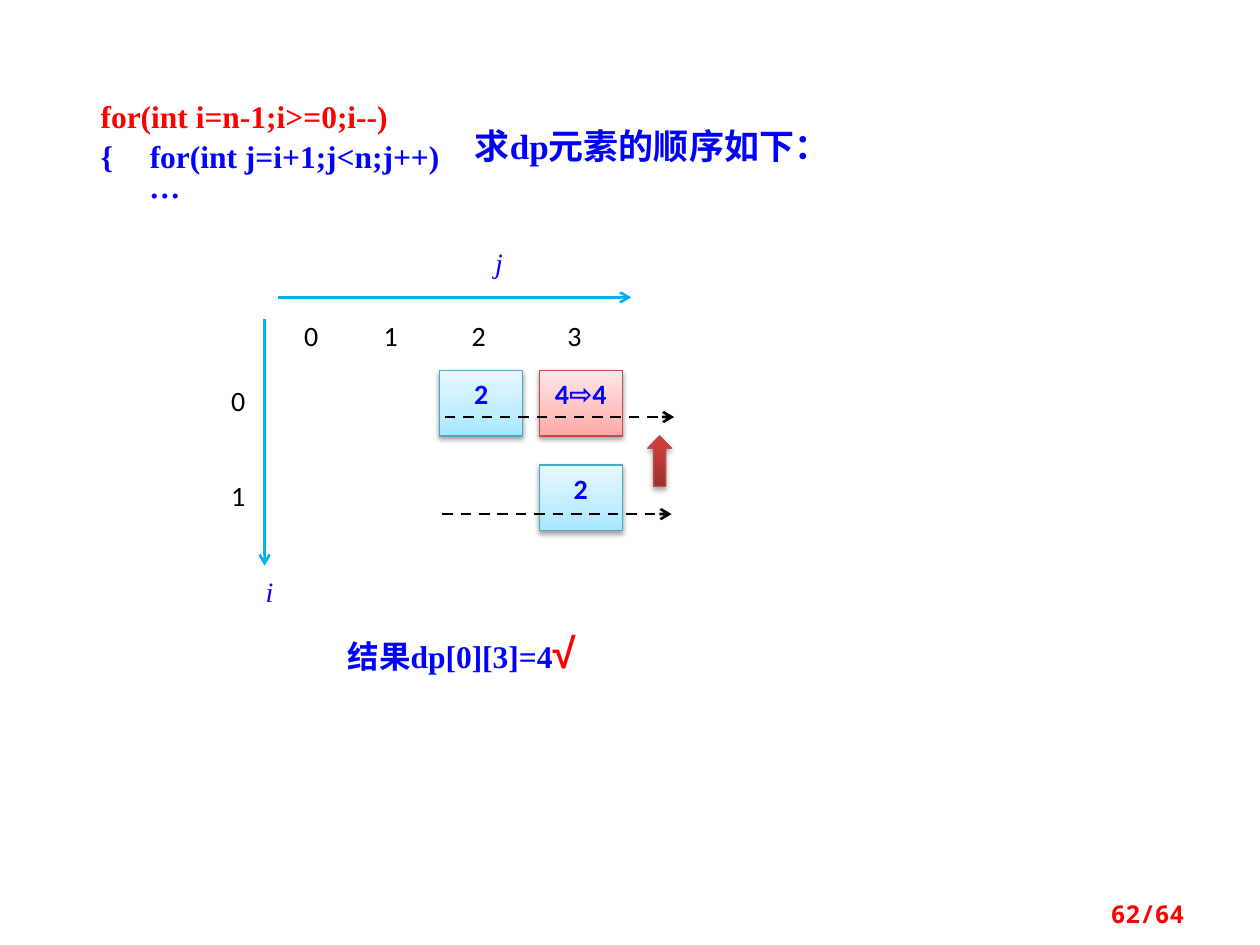
from lxml import etree
from pptx import Presentation, util as u
from pptx.dml.color import RGBColor
from pptx.enum import dml, shapes, text
from pptx.oxml.ns import qn

COLUMNS, ROWS = 100, 75
WIDTH, HEIGHT = u.Inches(10), u.Inches(7.5)
SERIF, SANS, CJK = "Times New Roman", "Calibri", "Noto Sans CJK SC"
BLUE, RED, BLACK, WHITE, SKY = "0000FF", "FF0000", "000000", "FFFFFF", "00B0F0"
BLUE_CELL = [(0, "A7E6FF"), (35, "C1EDFF"), (100, "E7F8FF")]
RED_CELL = [(0, "FFA6A5"), (35, "FFC0BF"), (100, "FFE7E7")]
RED_ARROW = [(0, "9C2F2D"), (80, "CB3E3A"), (100, "CE3B37")]
CELL_SIZE = 6.6, 5.2
LABEL_SIZE = 3.4, 2.9


def color(value):
    return RGBColor.from_string(value)


def grid(*lengths):
    """Turn alternating column and row counts into slide lengths."""
    units = WIDTH / COLUMNS, HEIGHT / ROWS
    return [u.Emu(round(n * units[i % 2])) for i, n in enumerate(lengths)]


def add_element(parent, tag, **attributes):
    return etree.SubElement(parent, qn(tag), {k: str(v) for k, v in attributes.items()})


def set_attributes(target, values):
    for name, value in values.items():
        setattr(target, name, value)


def add_run(paragraph, words, size, font, hue, bold=False, italic=False):
    run = paragraph.add_run()
    run.text = words
    set_attributes(run.font, dict(size=u.Pt(size), name=font, bold=bold, italic=italic))
    run.font.color.rgb = color(hue)
    add_element(run.font._element, "a:ea", typeface=CJK)


def set_frame(shape, margins, anchor=text.MSO_ANCHOR.TOP):
    frame = shape.text_frame
    sides = ("margin_left", "margin_top", "margin_right", "margin_bottom")
    values = dict(zip(sides, map(u.Inches, margins)))
    set_attributes(frame, dict(values, word_wrap=True, vertical_anchor=anchor))
    return frame


def add_label(slide, words, column, row, font=SANS, hue=BLACK, italic=False):
    shape = slide.shapes.add_shape(
        shapes.MSO_SHAPE.RECTANGLE, *grid(column, row, *LABEL_SIZE))
    shape.shadow.inherit = False
    shape.fill.solid()
    shape.fill.fore_color.rgb = color(WHITE)
    shape.line.fill.background()
    paragraph = set_frame(shape, (0, 0, 0, 0)).paragraphs[0]
    paragraph.alignment = text.PP_ALIGN.CENTER
    add_run(paragraph, words, 16, font, hue, italic=italic)


def add_glossy(slide, kind, place, stops, outline, opacity=38):
    """Add a shape with an upward gradient and a soft shadow below."""
    shape = slide.shapes.add_shape(kind, *grid(*place))
    shape.fill.gradient()
    shape.fill.gradient_angle = 90
    stop_list = shape._element.spPr.find(".//" + qn("a:gsLst"))
    for stop in list(stop_list):
        stop_list.remove(stop)
    for position, hue in stops:
        stop = add_element(stop_list, "a:gs", pos=position * 1000)
        add_element(stop, "a:srgbClr", val=hue)
    shape.line.color.rgb = color(outline)
    shape.line.width = u.Pt(0.75)
    shape.shadow.inherit = False
    effects = shape._element.spPr.find(qn("a:effectLst"))
    shadow = add_element(effects, "a:outerShdw", blurRad=u.Pt(3.1), dist=u.Pt(1.7),
                         dir=5400000, rotWithShape=0)
    add_element(add_element(shadow, "a:srgbClr", val=BLACK), "a:alpha", val=opacity * 1000)
    return shape


def add_cell(slide, words, i, j, stops=BLUE_CELL, outline="46AAC5", side=0.1):
    """Add the table entry dp[i][j]."""
    place = (34.9 + 7.9 * (j - 2), 29.4 + 7.5 * i, *CELL_SIZE)
    shape = add_glossy(slide, shapes.MSO_SHAPE.RECTANGLE, place, stops, outline)
    paragraph = set_frame(shape, (side, 0.05, side, 0.05)).paragraphs[0]
    paragraph.alignment = text.PP_ALIGN.CENTER
    add_run(paragraph, words, 16, SANS, BLUE, bold=True)


def add_arrow(slide, start, end, hue, dashed=False):
    line = slide.shapes.add_connector(shapes.MSO_CONNECTOR.STRAIGHT, *grid(*start, *end))
    line.line.color.rgb = color(hue)
    line.line.width = u.Pt(1.5)
    if dashed:
        line.line.dash_style = dml.MSO_LINE.DASH
    add_element(line.line._get_or_add_ln(), "a:tailEnd", type="arrow")
    add_element(line._element.spPr, "a:effectLst")


def add_text(slide, place, paragraphs, spacing=None, tab=None,
             alignment=text.PP_ALIGN.LEFT, anchor=text.MSO_ANCHOR.TOP):
    """Add a text box; each paragraph is a list of runs."""
    box = slide.shapes.add_textbox(*grid(*place))
    frame = set_frame(box, (0.1, 0.05, 0.1, 0.05), anchor)
    for index, runs in enumerate(paragraphs):
        paragraph = frame.add_paragraph() if index else frame.paragraphs[0]
        set_attributes(paragraph, dict(alignment=alignment, line_spacing=spacing))
        if tab:
            tabs = add_element(paragraph._p.get_or_add_pPr(), "a:tabLst")
            add_element(tabs, "a:tab", pos=u.Inches(tab), algn="l")
        for run in runs:
            add_run(paragraph, *run)


def add_axes(slide):
    for number, column in enumerate((23, 29.3, 36.3, 43.9)):
        add_label(slide, str(number), column, 25.3)
    for number in range(2):
        add_label(slide, str(number), 17.2, 30.4 + 7.6 * number)
    add_label(slide, "j", 37.9, 19.5, SERIF, BLUE, italic=True)
    add_label(slide, "i", 19.7, 45.6, SERIF, BLUE, italic=True)
    add_arrow(slide, (22.1, 23.6), (50.1, 23.6), SKY)
    add_arrow(slide, (21, 25.3), (21, 44.9), SKY)


def add_entries(slide):
    add_cell(slide, "2", 0, 2)
    add_cell(slide, "4⇨4", 0, 3, RED_CELL, "BF4C48", side=0)
    add_cell(slide, "2", 1, 3)
    for column, row in ((35.3, 33.1), (35.1, 40.8)):
        add_arrow(slide, (column, row), (column + 18.2, row), BLACK, dashed=True)
    arrow = add_glossy(slide, shapes.MSO_SHAPE.UP_ARROW, (51.4, 34.6, 1.9, 4),
                       RED_ARROW, "BF4C48", opacity=35)
    arrow.adjustments[1] = 0.52


def add_texts(slide):
    add_text(slide, (7, 7, 30.5, 10.7), [
        [("for(int i=n-1;i>=0;i--)", 18, SERIF, RED, True)],
        [("{\tfor(int j=i+1;j<n;j++)", 18, SERIF, BLUE, True)],
        [("\t…", 18, CJK, BLUE, True)],
    ], spacing=u.Pt(23), tab=0.39)
    add_text(slide, (36.7, 9.4, 32, 4.4), [[("求dp元素的顺序如下：", 20, SERIF, BLUE, True)]])
    add_text(slide, (26.6, 49.2, 28.9, 5), [[
        ("结果dp[0][3]=4", 18, SERIF, BLUE, True), ("√", 24, "Arial", RED, True)]])
    add_text(slide, (71.7, 70.5, 23.3, 4), [[("62/64", 14, "Noto Sans Mono", RED, True)]],
             alignment=text.PP_ALIGN.RIGHT, anchor=text.MSO_ANCHOR.MIDDLE)


def main():
    presentation = Presentation()
    set_attributes(presentation, dict(slide_width=WIDTH, slide_height=HEIGHT))
    slide = presentation.slides.add_slide(presentation.slide_layouts[6])
    add_axes(slide)
    add_entries(slide)
    add_texts(slide)
    presentation.save("out.pptx")


if __name__ == "__main__":
    main()
